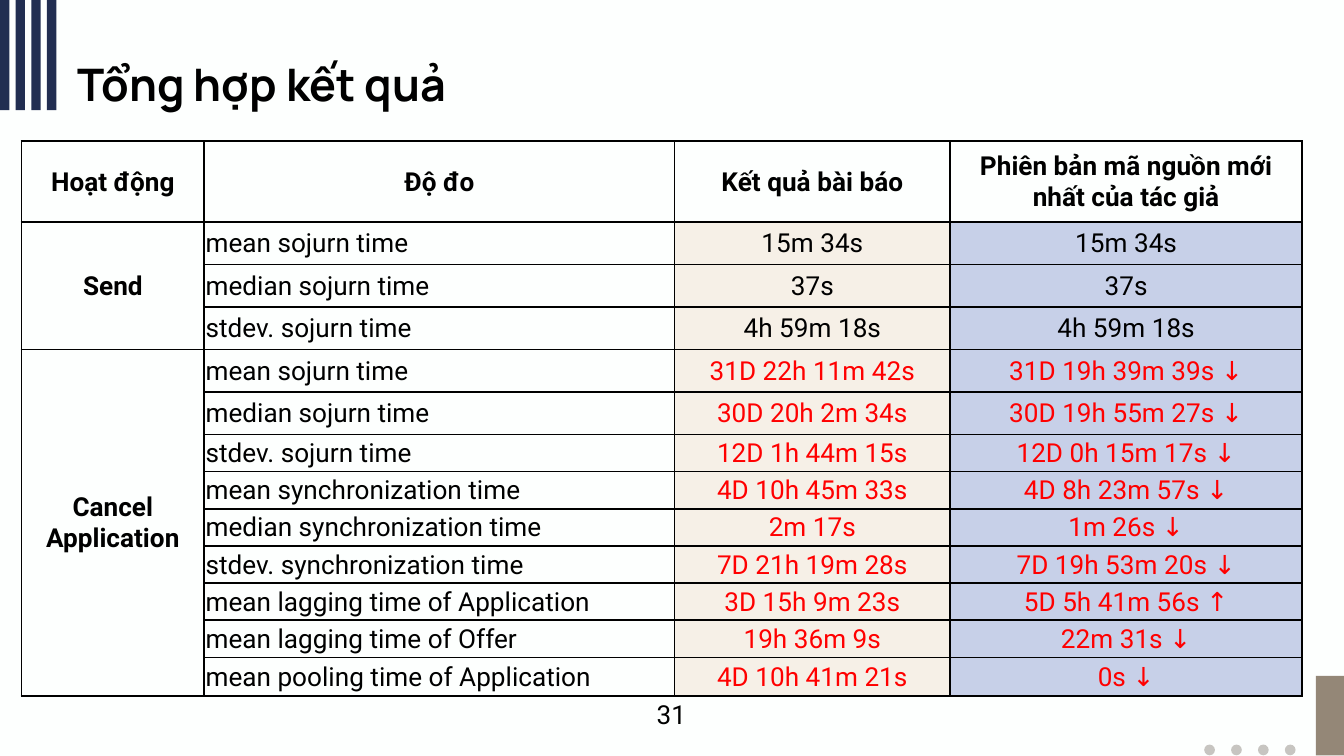
"""Build the results summary slide with its comparison table."""
from lxml import etree
from pptx import Presentation
from pptx.dml.color import RGBColor
from pptx.enum.shapes import MSO_SHAPE
from pptx.enum.text import MSO_ANCHOR, PP_ALIGN
from pptx.oxml.ns import qn
from pptx.util import Inches, Pt

LEFT, CENTER = PP_ALIGN.LEFT, PP_ALIGN.CENTER
TOP, MIDDLE = MSO_ANCHOR.TOP, MSO_ANCHOR.MIDDLE
RECTANGLE, OVAL = MSO_SHAPE.RECTANGLE, MSO_SHAPE.OVAL

BLACK = RGBColor(0x00, 0x00, 0x00)
RED = RGBColor(0xFF, 0x00, 0x00)
PAPER = RGBColor(0xFD, 0xFF, 0xFE)
NAVY = RGBColor(0x21, 0x2E, 0x51)
GRAY = RGBColor(0xC7, 0xC5, 0xC1)
TAUPE = RGBColor(0x94, 0x87, 0x77)
CREAM = RGBColor(0xF6, 0xF0, 0xE7)
LAVENDER = RGBColor(0xC7, 0xD0, 0xE8)

TITLE = "Tổng hợp kết quả"
PAGE_NUMBER = "31"
HEADERS = [
    "Hoạt động",
    "Độ đo",
    "Kết quả bài báo",
    "Phiên bản mã nguồn mới nhất của tác giả",
]
ACTIVITIES = [
    ("Send", BLACK, [
        ("mean sojurn time", "15m 34s", "15m 34s"),
        ("median sojurn time", "37s", "37s"),
        ("stdev. sojurn time", "4h 59m 18s", "4h 59m 18s"),
    ]),
    ("Cancel Application", RED, [
        ("mean sojurn time", "31D 22h 11m 42s", "31D 19h 39m 39s ↓"),
        ("median sojurn time", "30D 20h 2m 34s", "30D 19h 55m 27s ↓"),
        ("stdev. sojurn time", "12D 1h 44m 15s", "12D 0h 15m 17s ↓"),
        ("mean synchronization time", "4D 10h 45m 33s", "4D 8h 23m 57s ↓"),
        ("median synchronization time", "2m 17s", "1m 26s ↓"),
        ("stdev. synchronization time", "7D 21h 19m 28s", "7D 19h 53m 20s ↓"),
        ("mean lagging time of Application", "3D 15h 9m 23s", "5D 5h 41m 56s ↑"),
        ("mean lagging time of Offer", "19h 36m 9s", "22m 31s ↓"),
        ("mean pooling time of Application", "4D 10h 41m 21s", "0s ↓"),
    ]),
]
SLIDE_WIDTH = 10
SLIDE_HEIGHT = SLIDE_WIDTH * 9 / 16
TABLE_HEIGHT = 4.13
COLUMN_WIDTHS = [1.36, 3.5, 2.05, 2.62]
ROW_SHARES = [0.61] + [0.32] * 5 + [0.28] * 6 + [0.29]


def write(frame, text, font="Roboto", size=14, color=BLACK, bold=False, align=CENTER):
    paragraph = frame.paragraphs[0]
    paragraph.alignment = align
    run = paragraph.add_run()
    run.text = text
    run.font.name = font
    run.font.size = Pt(size)
    run.font.bold = bold
    run.font.color.rgb = color
    return paragraph


def add_decoration(slide, kind, left, top, width, height, color):
    box = [Inches(value) for value in (left, top, width, height)]
    shape = slide.shapes.add_shape(kind, *box)
    shape.shadow.inherit = False
    shape.fill.solid()
    shape.fill.fore_color.rgb = color
    shape.line.fill.background()


def add_borders(cell):
    properties = cell._tc.get_or_add_tcPr()
    for side in ("a:lnL", "a:lnR", "a:lnT", "a:lnB"):
        line = etree.SubElement(properties, qn(side), w=str(Pt(1)))
        fill = etree.SubElement(line, qn("a:solidFill"))
        etree.SubElement(fill, qn("a:srgbClr"), val=str(BLACK))


def fill_cell(cell, text, fill=None, **text_format):
    cell.vertical_anchor = MIDDLE
    cell.margin_left = cell.margin_right = cell.margin_top = Inches(0.01)
    cell.margin_bottom = 0
    if fill is not None:
        cell.fill.solid()
        cell.fill.fore_color.rgb = fill
    write(cell.text_frame, text, **text_format)


def add_results_table(slide):
    frame = slide.shapes.add_table(
        len(ROW_SHARES), len(COLUMN_WIDTHS), Inches(0.16), Inches(1.05),
        Inches(sum(COLUMN_WIDTHS)), Inches(TABLE_HEIGHT))
    table = frame.table
    table.first_row = table.horz_banding = False
    for column, width in zip(table.columns, COLUMN_WIDTHS):
        column.width = Inches(width)
    for row, share in zip(table.rows, ROW_SHARES):
        row.height = Inches(TABLE_HEIGHT * share / sum(ROW_SHARES))
    for cell in table.iter_cells():
        add_borders(cell)
        cell.fill.background()

    for column, header in enumerate(HEADERS):
        fill_cell(table.cell(0, column), header, fill=PAPER, bold=True)
    row = 1
    for activity, color, measures in ACTIVITIES:
        activity_cell = table.cell(row, 0)
        activity_cell.merge(table.cell(row + len(measures) - 1, 0))
        fill_cell(activity_cell, activity, bold=True)
        for measure, paper_result, source_result in measures:
            fill_cell(table.cell(row, 1), measure, align=LEFT)
            fill_cell(table.cell(row, 2), paper_result, fill=CREAM, color=color)
            fill_cell(table.cell(row, 3), source_result, fill=LAVENDER, color=color)
            row += 1


def main():
    presentation = Presentation()
    presentation.slide_width = Inches(SLIDE_WIDTH)
    presentation.slide_height = Inches(SLIDE_HEIGHT)
    slide = presentation.slides.add_slide(presentation.slide_layouts[5])
    slide.background.fill.solid()
    slide.background.fill.fore_color.rgb = PAPER

    for index in range(4):
        add_decoration(slide, RECTANGLE, 0.35 / 3 * index, 0, 0.07, 0.82, NAVY)
        add_decoration(slide, OVAL, 8.96 + 0.2 * index, 5.54, 0.08, 0.08, GRAY)
    add_decoration(slide, RECTANGLE, 9.79, 5.03, 0.21, 0.59, TAUPE)

    number = slide.shapes.add_textbox(
        Inches(4.72), Inches(5.14), Inches(0.55), Inches(0.34)).text_frame
    number.word_wrap = True
    number.vertical_anchor = MIDDLE
    write(number, PAGE_NUMBER)

    title = slide.shapes.title
    title.left, title.top = Inches(0.32), Inches(0.32)
    title.width, title.height = Inches(4.95), Inches(0.63)
    frame = title.text_frame
    frame.vertical_anchor = TOP
    frame.margin_left = frame.margin_right = Inches(0.1)
    frame.margin_top = frame.margin_bottom = Inches(0.1)
    paragraph = write(frame, TITLE, font="Manrope", size=24, bold=True, align=LEFT)
    paragraph._p.get_or_add_pPr().set("marL", str(Inches(0.16)))

    add_results_table(slide)
    presentation.save("out.pptx")


if __name__ == "__main__":
    main()
